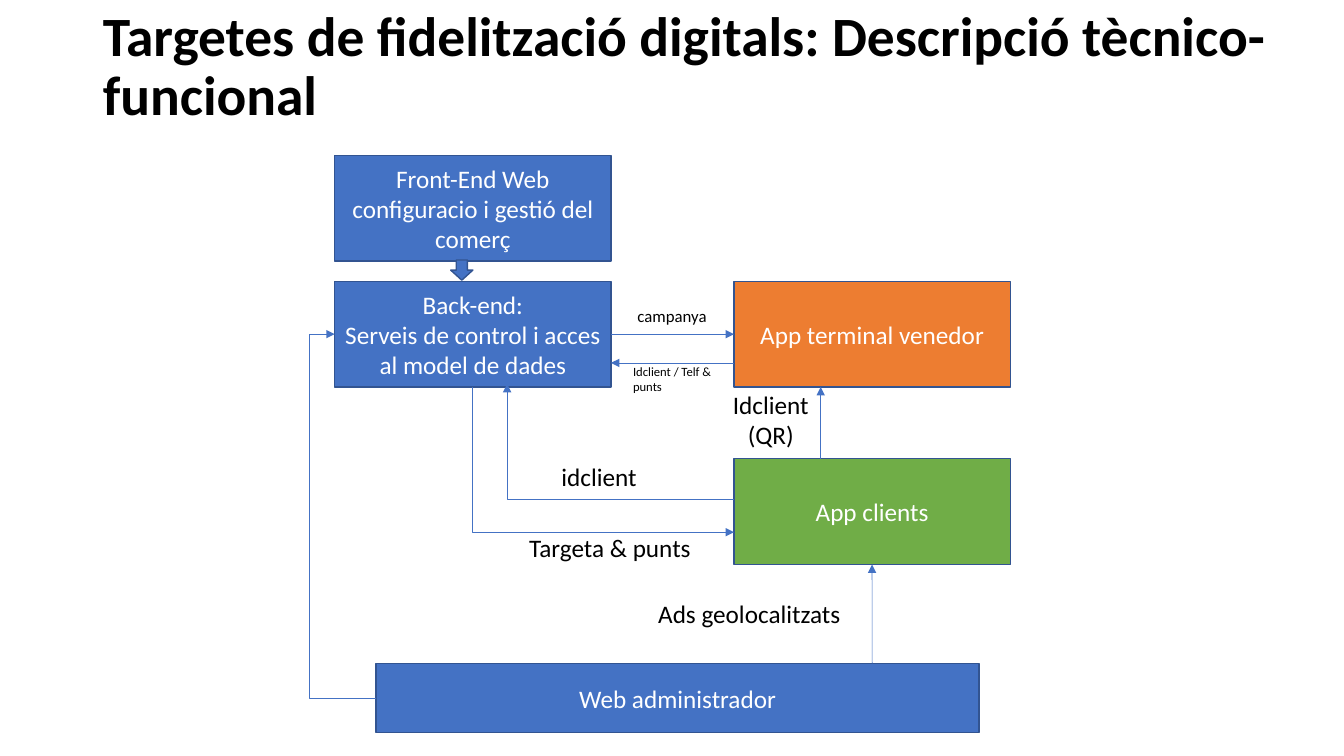
from lxml import etree
from pptx import Presentation
from pptx import util as u
from pptx.dml.color import RGBColor
from pptx.enum import shapes, text
from pptx.oxml.ns import qn

COLOURS = {
    "blue": "4472C4",
    "orange": "ED7D31",
    "green": "70AD47",
    "outline": "325491",
    "white": "FFFFFF",
    "black": "000000",
}
FONT = "Calibri"
BOX_WIDTH, BOX_HEIGHT = 2.74, 1.05
TOP, LEFT, BOTTOM, RIGHT = range(4)


def colour(name):
    return RGBColor.from_string(COLOURS[name])


def format_paragraph(paragraph, size, colour_name, alignment):
    paragraph.alignment = alignment
    paragraph.font.size = u.Pt(size)
    paragraph.font.name = FONT
    paragraph.font.color.rgb = colour(colour_name)


def add_title(slide, words, left, top, width, height):
    title = slide.shapes.title
    title.left, title.top = u.Inches(left), u.Inches(top)
    title.width, title.height = u.Inches(width), u.Inches(height)
    frame = title.text_frame
    frame.text = words
    frame.word_wrap = True
    frame.auto_size = text.MSO_AUTO_SIZE.NONE
    frame.vertical_anchor = text.MSO_ANCHOR.MIDDLE
    paragraph = frame.paragraphs[0]
    paragraph.line_spacing = 0.9
    format_paragraph(paragraph, 39.6, "black", text.PP_ALIGN.LEFT)
    paragraph.font.bold = True


def add_block(slide, words, fill, left, top, width=BOX_WIDTH,
              height=BOX_HEIGHT, kind=shapes.MSO_SHAPE.RECTANGLE):
    block = slide.shapes.add_shape(
        kind, u.Inches(left), u.Inches(top), u.Inches(width), u.Inches(height))
    block.shadow.inherit = False
    block.fill.solid()
    block.fill.fore_color.rgb = colour(fill)
    block.line.color.rgb = colour("outline")
    block.line.width = u.Pt(1)
    if words:
        frame = block.text_frame
        frame.text = words
        frame.word_wrap = True
        frame.vertical_anchor = text.MSO_ANCHOR.MIDDLE
        for paragraph in frame.paragraphs:
            format_paragraph(paragraph, 18, "white", text.PP_ALIGN.CENTER)
    return block


def add_label(slide, words, left, top, width, height, size=18,
              alignment=text.PP_ALIGN.LEFT):
    label = slide.shapes.add_textbox(
        u.Inches(left), u.Inches(top), u.Inches(width), u.Inches(height))
    frame = label.text_frame
    frame.text = words
    frame.word_wrap = True
    format_paragraph(frame.paragraphs[0], size, "black", alignment)


def add_arrow(slide, begin, end, preset="line", arrowhead="tailEnd", bend=None):
    """Draw a connector; bend places the elbow as a fraction of its width."""
    kind = (shapes.MSO_CONNECTOR.STRAIGHT if preset == "line"
            else shapes.MSO_CONNECTOR.ELBOW)
    arrow = slide.shapes.add_connector(
        kind, *(u.Inches(length) for length in (*begin, *end)))
    arrow.line.color.rgb = colour("blue")
    arrow.line.width = u.Pt(0.5)
    properties = arrow._element.spPr
    geometry = properties.find(qn("a:prstGeom"))
    geometry.set("prst", preset)
    if bend is not None:
        etree.SubElement(geometry.find(qn("a:avLst")), qn("a:gd"),
                         name="adj1", fmla=f"val {round(bend * 100000)}")
    etree.SubElement(properties.find(qn("a:ln")), qn(f"a:{arrowhead}"),
                     type="triangle")
    etree.SubElement(properties, qn("a:effectLst"))
    return arrow


def add_diagram(slide, left, top):
    def at(x, y):
        return left + x, top + y

    first, second = 0.25, 4.21
    backend_top, clients_top, admin_top = 1.25, 3.01, 5.04
    first_right = first + BOX_WIDTH
    first_middle = first + BOX_WIDTH / 2
    second_middle = second + BOX_WIDTH / 2
    backend_middle = backend_top + BOX_HEIGHT / 2
    backend_bottom = backend_top + BOX_HEIGHT
    admin_left, admin_height = 0.66, 0.69

    add_block(slide, "Front-End Web configuracio i gestió del comerç", "blue",
              *at(first, 0))
    backend = add_block(
        slide, "Back-end:\nServeis de control i acces al model de dades",
        "blue", *at(first, backend_top))
    seller = add_block(slide, "App terminal venedor", "orange",
                       *at(second, backend_top))
    clients = add_block(slide, "App clients", "green", *at(second, clients_top))
    admin = add_block(slide, "Web administrador", "blue",
                      *at(admin_left, admin_top), 5.98, admin_height)
    add_block(slide, "", "blue", *at(1.4, 1.04), 0.22, 0.2,
              shapes.MSO_SHAPE.DOWN_ARROW)

    campaign = add_arrow(slide, at(first_right, backend_middle),
                         at(second, backend_middle))
    campaign.begin_connect(backend, RIGHT)
    campaign.end_connect(seller, LEFT)
    add_arrow(slide, at(second, 2.06), at(first_right, 2.06))
    add_arrow(slide, at(5.07, clients_top), at(5.07, backend_bottom))
    ads = add_arrow(slide, at(second_middle, admin_top),
                    at(second_middle, clients_top + BOX_HEIGHT))
    ads.end_connect(clients, BOTTOM)

    add_arrow(slide, at(second, 3.41), at(1.96, 2.27), "bentConnector2")
    card = add_arrow(slide, at(second, 3.74), at(first_middle, backend_bottom),
                     "bentConnector2", "headEnd")
    card.end_connect(backend, BOTTOM)
    control = add_arrow(slide, at(admin_left, admin_top + admin_height / 2),
                        at(first, backend_middle), "bentConnector3",
                        bend=admin_left / (admin_left - first))
    control.begin_connect(admin, LEFT)
    control.end_connect(backend, LEFT)

    centre = text.PP_ALIGN.CENTER
    add_label(slide, "campanya", *at(3.07, 1.44), 1.05, 0.3, 12, centre)
    add_label(slide, "Idclient / Telf & punts", *at(3.11, 2.02), 0.98, 0.4, 9)
    add_label(slide, "Idclient (QR)", *at(4.05, 2.27), 1.05, 0.71, 18, centre)
    add_label(slide, "idclient", *at(2.4, 2.99), 1.05, 0.4)
    add_label(slide, "Targeta & punts", *at(2.08, 3.69), 2.17, 0.4)
    add_label(slide, "Ads geolocalitzats", *at(3.36, 4.35), 2.43, 0.4)


def main():
    presentation = Presentation()
    presentation.slide_width = u.Inches(13.33)
    presentation.slide_height = u.Inches(7.5)
    slide = presentation.slides.add_slide(presentation.slide_layouts[5])
    add_title(slide,
              "Targetes de fidelització digitals: Descripció tècnico- funcional",
              0.92, 0.4, 11.84, 0.55)
    add_diagram(slide, 3.07, 1.54)
    presentation.save("out.pptx")


if __name__ == "__main__":
    main()
